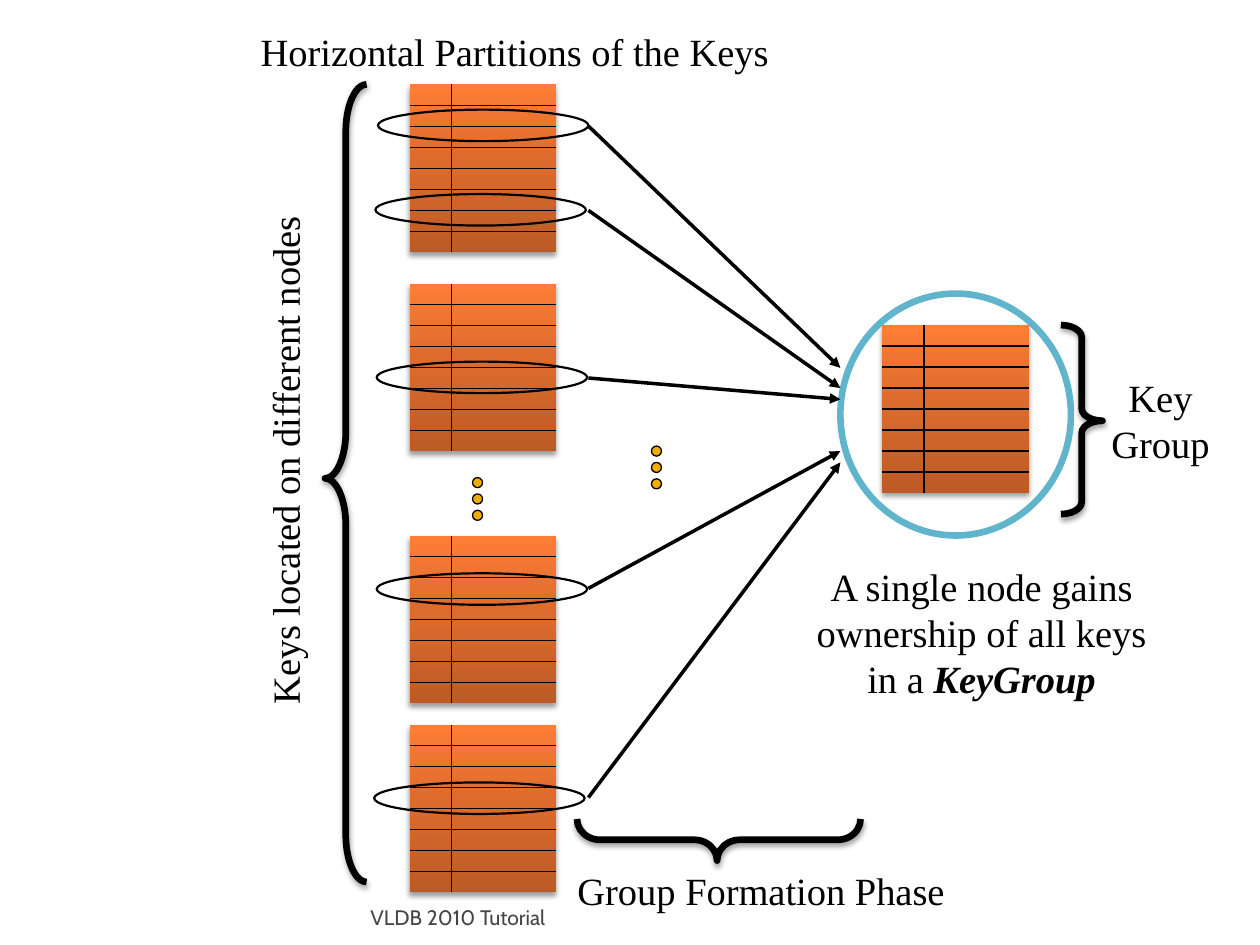
from copy import deepcopy

from lxml.etree import SubElement
from pptx import Presentation
from pptx.dml.color import RGBColor
from pptx.enum.shapes import MSO_CONNECTOR, MSO_SHAPE
from pptx.enum.text import MSO_ANCHOR, PP_ALIGN
from pptx.oxml.ns import qn
from pptx.util import Inches, Pt

BLACK = RGBColor(0x00, 0x00, 0x00)
WHITE = RGBColor(0xFF, 0xFF, 0xFF)
GRAY = RGBColor(0x45, 0x45, 0x45)
TEAL = RGBColor(0x60, 0xB5, 0xCC)
GOLD = RGBColor(0xF0, 0xAD, 0x00)
STOPS = [(0, RGBColor(0xBC, 0x5B, 0x26)),
         (0.55, RGBColor(0xDD, 0x6B, 0x2D)),
         (1, RGBColor(0xFF, 0x7D, 0x37))]
SERIF = "Times New Roman"
ROW = 1 / 6
WIDE, TALL = 7 * ROW, 8 * ROW


def add_shape(shapes, kind, box, fill=None, line=None, width=1):
    shape = shapes.add_shape(kind, *map(Inches, box))
    shape.shadow.inherit = False
    if fill is None:
        shape.fill.background()
    else:
        shape.fill.solid()
        shape.fill.fore_color.rgb = fill
    if line is None:
        shape.line.fill.background()
    else:
        shape.line.color.rgb = line
        shape.line.width = Pt(width)
    return shape


def add_shadow(shape):
    effects = shape._element.spPr.find(qn("a:effectLst"))
    outer = SubElement(effects, qn("a:outerShdw"), blurRad="40000",
                       dist="23000", dir="5400000", rotWithShape="0")
    color = SubElement(outer, qn("a:srgbClr"), val="000000")
    SubElement(color, qn("a:alpha"), val="38000")


def add_shade(shape):
    """Fill with the orange gradient, dark at the bottom."""
    fill = shape.fill
    fill.gradient()
    fill.gradient_angle = 90
    stops = shape._element.spPr.find(".//" + qn("a:gsLst"))
    stops.insert(1, deepcopy(stops[0]))
    for stop, (place, color) in zip(fill.gradient_stops, STOPS):
        stop.position = place
        stop.color.rgb = color


def add_line(shapes, start, end, width=0.75, arrow=False):
    line = shapes.add_connector(MSO_CONNECTOR.STRAIGHT,
                                *map(Inches, (*start, *end)))
    line.line.color.rgb = BLACK
    line.line.width = Pt(width)
    SubElement(line._element.spPr, qn("a:effectLst"))
    if arrow:
        SubElement(line.line._get_or_add_ln(), qn("a:tailEnd"), type="triangle")


def add_keys(slide, left, top):
    """Draw a table of keys: eight rows and a narrow first column."""
    shapes = slide.shapes.add_group_shape().shapes
    body = add_shape(shapes, MSO_SHAPE.RECTANGLE, (left, top, WIDE, TALL))
    add_shade(body)
    add_shadow(body)
    for row in range(1, 8):
        y = top + row * ROW
        add_line(shapes, (left, y), (left + WIDE, y))
    x = left + 2 * ROW
    add_line(shapes, (x, top), (x, top + TALL))


def add_dots(slide, left, top):
    for i in range(3):
        add_shape(slide.shapes, MSO_SHAPE.OVAL,
                  (left, top + i * 0.13, 0.08, 0.08), GOLD, BLACK, 0.75)


def add_brace(slide, box, curve, turn=0):
    brace = add_shape(slide.shapes, MSO_SHAPE.LEFT_BRACE, box,
                      line=BLACK, width=3.82)
    brace.adjustments[0] = curve
    brace.adjustments[1] = 0.494
    brace.rotation = turn
    add_shadow(brace)


def add_run(para, text, size=22, font=SERIF, color=BLACK, strong=None):
    run = para.add_run()
    run.text = text
    run.font.size = Pt(size)
    run.font.name = font
    run.font.color.rgb = color
    run.font.bold = run.font.italic = strong


def add_label(slide, box, text, strong="", turn=0):
    label = slide.shapes.add_textbox(*map(Inches, box))
    label.rotation = turn
    label.text_frame.word_wrap = True
    para = label.text_frame.paragraphs[0]
    para.alignment = PP_ALIGN.CENTER
    add_run(para, text)
    if strong:
        add_run(para, strong, strong=True)


def add_footer(slide, box):
    frame = slide.shapes.add_textbox(*map(Inches, box)).text_frame
    frame.word_wrap = True
    frame.vertical_anchor = MSO_ANCHOR.BOTTOM
    frame.margin_left = frame.margin_right = frame.margin_top = Inches(0.05)
    frame.margin_bottom = 0
    add_run(frame.paragraphs[0], "VLDB 2010 Tutorial", 12, "Cabin", GRAY)


def add_nodes(slide, left):
    for top in (0.67, 2.25, 4.25, 5.75):
        add_keys(slide, left, top)
    for dx, top in ((-0.25, 0.87), (-0.27, 1.54), (-0.26, 2.87),
                    (-0.26, 4.55), (-0.28, 6.21)):
        add_shape(slide.shapes, MSO_SHAPE.OVAL, (left + dx, top, 1.67, 0.25),
                  line=BLACK, width=1.25)
    add_dots(slide, left + 0.5, 3.79)
    add_label(slide, (left - 1.33, 0.17, 4.33, 0.47),
              "Horizontal Partitions of the Keys")
    add_brace(slide, (left - 0.67, 0.67, 0.33, 6.33), 1.135)
    add_label(slide, (left - 3.53, 3.42, 5.08, 0.47),
              "Keys located on different nodes", turn=270)


def add_phase(slide, left, right):
    for start, end in ((1, 2.92), (1.67, 3.08), (3, 3.17),
                       (4.67, 3.58), (6.33, 3.67)):
        add_line(slide.shapes, (left, start), (right, end), 2, True)
    add_dots(slide, left + 0.5, 3.54)
    add_brace(slide, (left + 0.87, 5.54, 0.33, 2.25), 0.551, 270)
    add_label(slide, (left - 0.34, 6.83, 3.42, 0.47), "Group Formation Phase")


def add_group(slide, left, top):
    add_shape(slide.shapes, MSO_SHAPE.OVAL, (left, top, 1.83, 1.92),
              WHITE, TEAL, 3.78)
    add_keys(slide, left + 0.33, top + 0.25)
    add_brace(slide, (left + 1.75, top + 0.25, 0.33, 1.5), 0.293, 180)
    add_label(slide, (left + 2, top + 0.59, 1.08, 0.84), "Key Group")
    add_label(slide, (left - 0.34, top + 2.09, 2.92, 1.21),
              "A single node gains ownership of all keys in a ", "KeyGroup")


def main():
    deck = Presentation()
    deck.slide_width, deck.slide_height = Inches(10), Inches(7.5)
    slide = deck.slides.add_slide(deck.slide_layouts[6])
    add_group(slide, 6.67, 2.33)
    add_nodes(slide, 3.25)
    add_phase(slide, 4.67, 6.67)
    add_footer(slide, (2.89, 7.08, 6.02, 0.3))
    deck.save("out.pptx")


if __name__ == "__main__":
    main()
